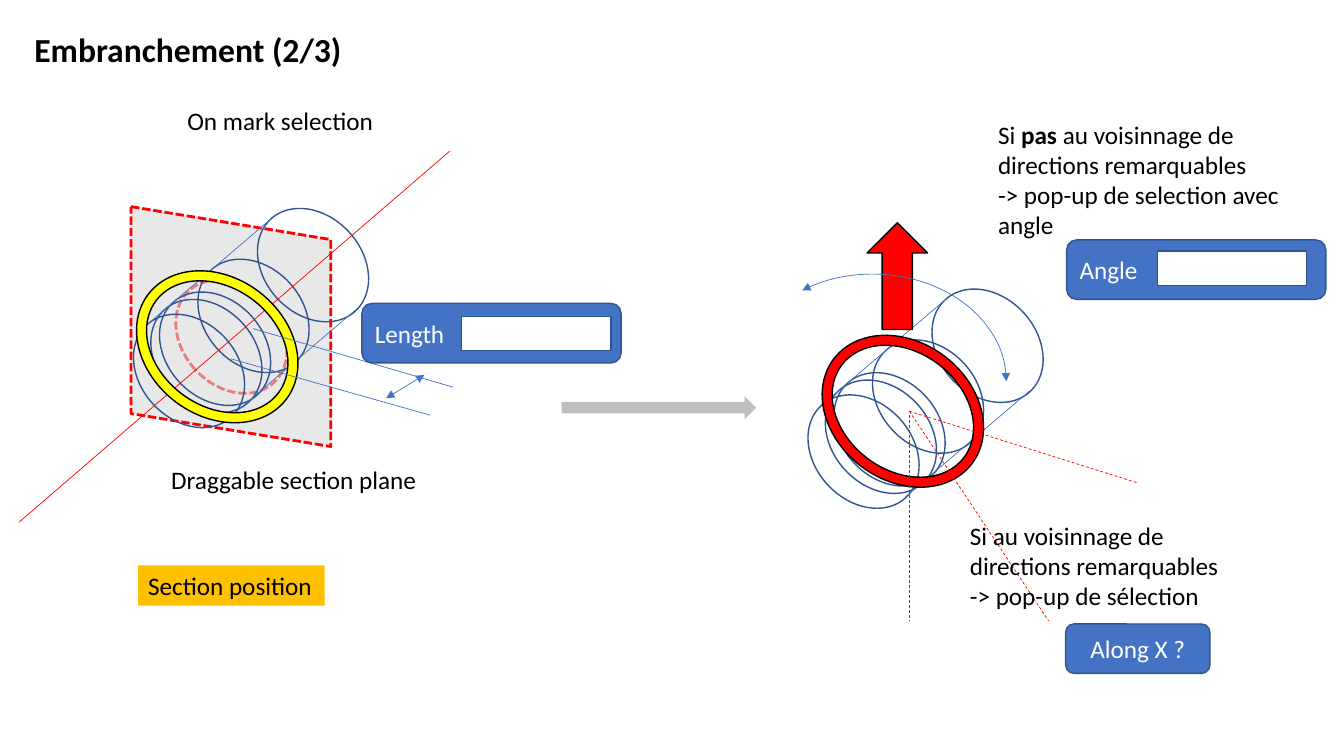
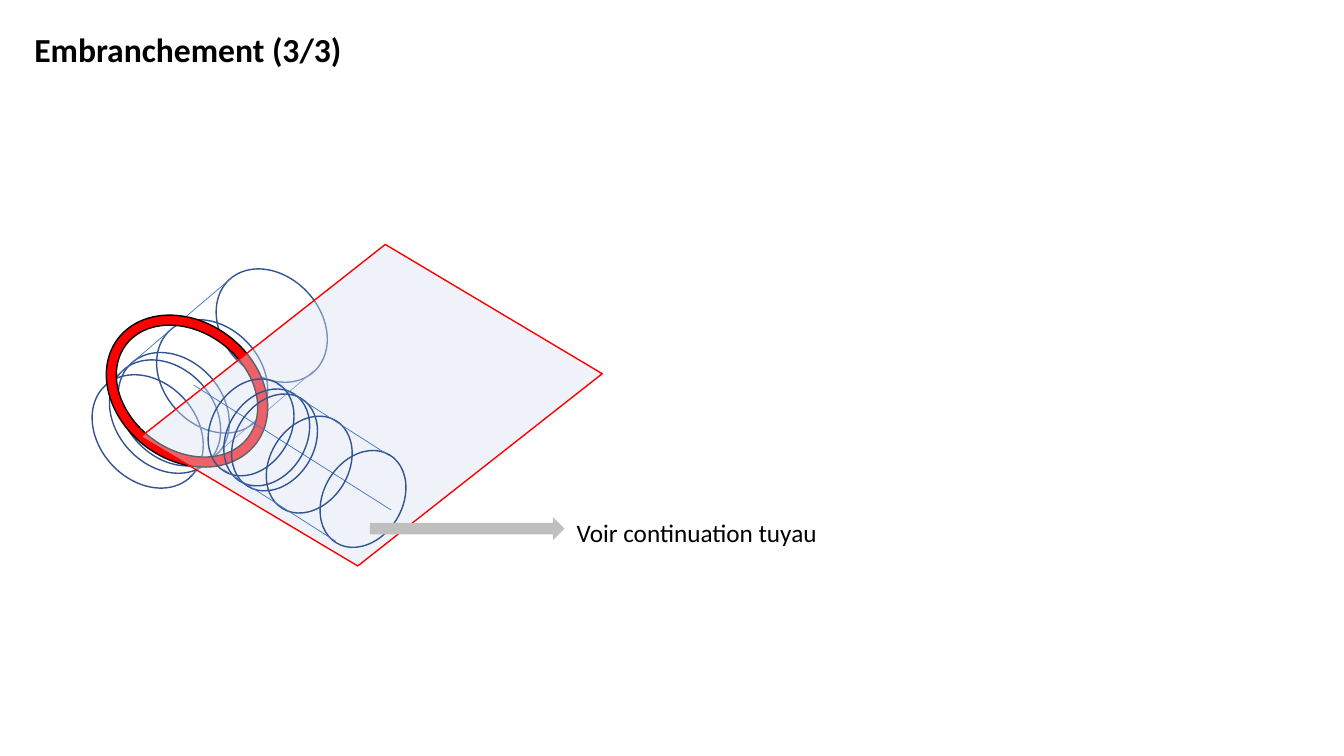
import lxml.etree
import pptx
import pptx.dml.color
import pptx.enum.dml
import pptx.enum.shapes
import pptx.enum.text
import pptx.oxml.ns
import pptx.util

Inches = pptx.util.Inches
RGB = pptx.dml.color.RGBColor
SHAPE = pptx.enum.shapes.MSO_SHAPE
DASH = pptx.enum.dml.MSO_LINE
ALIGN = pptx.enum.text.PP_ALIGN
ANCHOR = pptx.enum.text.MSO_ANCHOR
GROW = pptx.enum.text.MSO_AUTO_SIZE.SHAPE_TO_FIT_TEXT
qn = pptx.oxml.ns.qn

# Shared colours and styles
BLACK, WHITE = RGB(0, 0, 0), RGB(0xFF, 0xFF, 0xFF)
RED, YELLOW, AMBER = RGB(0xFF, 0, 0), RGB(0xFF, 0xFF, 0), RGB(0xFF, 0xC0, 0)
BLUE, NAVY, PALE = RGB(0x44, 0x72, 0xC4), RGB(0x32, 0x54, 0x91), RGB(0xDA, 0xE3, 0xF3)
GREY, SILVER = RGB(0xBF, 0xBF, 0xBF), RGB(0xD9, 0xD9, 0xD9)
FONT = {"name": "Calibri", "size": pptx.util.Pt(18), "bold": False}
TITLE_FONT = {**FONT, "size": pptx.util.Pt(24), "bold": True}
TITLE_BOX = (0.24, 0.24, 3.28, 0.5)
RING_TILT, RING_STEPS = 317.4, (0, 1, 0.14, 0.21, 0.52)

# Pipes: ring size, tilt, axis vector, offsets of the two outline starts
MAIN_PIPE = {"size": (0.97, 1.24), "tilt": RING_TILT, "axis": (1.23, -1.05),
             "edges": ((0.07, 0.16), (0.9, 1.07))}
BRANCH_PIPE = {"size": (0.78, 1.02), "tilt": 31.3, "axis": (1.11, 0.71),
               "edges": ((0.65, 0.08), (0.12, 0.93))}

# Slide content: box, paragraphs of (text, bold) runs, format
TITLES = ("Embranchement (2/3)", "Embranchement (3/3)")
SELECTION_TEXTS = [
    ((1.6, 4.56, 2.66, 0.4), [[("Draggable section plane", False)]], {}),
    ((1.37, 5.61, 1.85, 0.4), [[("Section position", False)]], {"fill": AMBER}),
    ((1.76, 1, 2.07, 0.4), [[("On mark selection", False)]], {}),
    ((9.52, 5.11, 3.15, 1.01),
     [[("Si au voisinnage de directions remarquables", False)],
      [("-> pop-up de sélection", False)]], {"wrap": True}),
    ((9.8, 1.13, 3.15, 1.31),
     [[("Si ", False), ("pas ", True), ("au voisinnage de directions remarquables", False)],
      [("-> pop-up de selection avec angle", False)]], {"wrap": True}),
]
# Pop-ups: box, label, alignment, corner of the input field
POPUPS = [
    ((3.59, 3.01, 2.57, 0.59), "Length", ALIGN.LEFT, (4.58, 3.14)),
    ((10.58, 2.38, 2.57, 0.59), "Angle", ALIGN.LEFT, (11.48, 2.49)),
    ((10.57, 6.19, 1.43, 0.49), "Along X ?", ALIGN.CENTER, None),
]
LENGTH_GUIDES = [((2.29, 3.56), (4.27, 4.12)), ((2.51, 3.26), (4.49, 3.84))]
DIRECTIONS = [((9.02, 4.08), (11.28, 4.79)), ((9.02, 4.12), (9.02, 6.16)),
              ((9.02, 4.08), (10.4, 6.16))]


def set_all(target, values):
    for name, value in values.items():
        setattr(target, name, value)


def style_line(line, color, width, dash=None):
    set_all(line, {"width": pptx.util.Pt(width), "dash_style": dash})
    line.color.rgb = color


def add_arrowheads(sp):
    ln = sp._element.spPr.find(qn("a:ln"))
    for end in ("a:headEnd", "a:tailEnd"):
        lxml.etree.SubElement(ln, qn(end)).set("type", "triangle")


def add_shape(shapes, kind, box, fill=None, line=None, width=1, dash=None,
              rot=0, adj=(), alpha=None):
    sp = shapes.add_shape(kind, *map(Inches, box))
    sp.shadow.inherit = False
    sp.rotation = rot
    for i, value in enumerate(adj):
        sp.adjustments[i] = value
    if fill is None:
        sp.fill.background()
    else:
        sp.fill.solid()
        sp.fill.fore_color.rgb = fill
    if alpha is not None:
        color = sp._element.spPr.find(qn("a:solidFill"))[0]
        lxml.etree.SubElement(color, qn("a:alpha")).set("val", str(alpha * 1000))
    if line is None:
        sp.line.fill.background()
    else:
        style_line(sp.line, line, width, dash)
    return sp


def add_line(shapes, start, end, color=BLUE, dash=None, arrows=False):
    straight = pptx.enum.shapes.MSO_CONNECTOR.STRAIGHT
    sp = shapes.add_connector(straight, *map(Inches, (*start, *end)))
    style_line(sp.line, color, 0.5, dash)
    if arrows:
        add_arrowheads(sp)
    lxml.etree.SubElement(sp._element.spPr, qn("a:effectLst"))


def write(tf, paragraphs, color=BLACK, align=ALIGN.LEFT, font=FONT):
    for i, runs in enumerate(paragraphs):
        p = tf.add_paragraph() if i else tf.paragraphs[0]
        p.alignment = align
        for text, bold in runs:
            r = p.add_run()
            r.text = text
            set_all(r.font, {**font, "bold": bold})
            r.font.color.rgb = color


def add_text(s, box, paragraphs, wrap=False, fill=None):
    sp = s.shapes.add_textbox(*map(Inches, box))
    if fill is not None:
        sp.fill.solid()
        sp.fill.fore_color.rgb = fill
    set_all(sp.text_frame, {"word_wrap": wrap, "auto_size": GROW})
    write(sp.text_frame, paragraphs)


def add_popup(s, box, label, align, field):
    sp = add_shape(s.shapes, SHAPE.ROUNDED_RECTANGLE, box, BLUE, NAVY)
    sp.text_frame.vertical_anchor = ANCHOR.MIDDLE
    write(sp.text_frame, [[(label, False)]], WHITE, align)
    if field:
        add_shape(s.shapes, SHAPE.RECTANGLE, (*field, 1.48, 0.34), WHITE, NAVY)


def add_pipe(s, x, y, pipe):
    shapes = s.shapes.add_group_shape().shapes
    dx, dy = pipe["axis"]
    for step in RING_STEPS:
        add_shape(shapes, SHAPE.OVAL, (x + step * dx, y + step * dy, *pipe["size"]),
                  line=NAVY, rot=pipe["tilt"])
    for ex, ey in pipe["edges"]:
        add_line(shapes, (x + ex, y + ey), (x + ex + dx, y + ey + dy))


def add_mark(s, x, y, color):
    add_shape(s.shapes, SHAPE.DONUT, (x, y, 1.37, 1.72), color, BLACK,
              rot=307.2, adj=[0.073])


def add_next_arrow(s, x, y):
    add_shape(s.shapes, SHAPE.RIGHT_ARROW, (x, y, 1.93, 0.23), GREY)


def add_slide(prs, title):
    s = prs.slides.add_slide(prs.slide_layouts[5])
    sp = s.shapes.title
    set_all(sp, dict(zip(("left", "top", "width", "height"), map(Inches, TITLE_BOX))))
    set_all(sp.text_frame, {"word_wrap": False, "auto_size": GROW,
                            "vertical_anchor": ANCHOR.TOP})
    write(sp.text_frame, [[(title, True)]], font=TITLE_FONT)
    return s


def build_selection(s):
    # Section plane on the main pipe
    add_shape(s.shapes, SHAPE.OVAL, (1.81, 2.72, 0.97, 1.24), line=RED, width=2,
              dash=DASH.SQUARE_DOT, rot=RING_TILT)
    add_shape(s.shapes, SHAPE.PARALLELOGRAM, (1.1, 2.25, 2.38, 1.98), SILVER, RED, 2,
              DASH.SQUARE_DOT, rot=90, adj=[0.165], alpha=58)
    add_pipe(s, 1.39, 3.06, MAIN_PIPE)
    add_line(s.shapes, (0.19, 5.18), (4.46, 1.5), RED)
    add_mark(s, 1.47, 2.58, YELLOW)
    for start, end in LENGTH_GUIDES:
        add_line(s.shapes, start, end)
    add_line(s.shapes, (3.83, 3.95), (4.21, 3.72), arrows=True)
    add_next_arrow(s, 5.57, 3.93)

    # Choice of the branch direction
    add_pipe(s, 8.08, 3.86, MAIN_PIPE)
    add_mark(s, 8.27, 3.22, RED)
    add_shape(s.shapes, SHAPE.UP_ARROW, (8.6, 2.21, 0.6, 1.06), RED, BLACK)
    arc = add_shape(s.shapes, SHAPE.ARC, (7.33, 2.72, 2.65, 2.13), line=BLUE,
                    width=0.5, adj=[139.388, 0])
    add_arrowheads(arc)
    for start, end in DIRECTIONS:
        add_line(s.shapes, start, end, RED, DASH.DASH)

    # Captions and pop-ups
    for box, paragraphs, style in SELECTION_TEXTS:
        add_text(s, box, paragraphs, **style)
    for popup in POPUPS:
        add_popup(s, *popup)


def build_branch(s):
    # Main pipe, branch plane and branch pipe
    add_pipe(s, 0.98, 3.66, MAIN_PIPE)
    add_mark(s, 1.17, 3.02, RED)
    add_shape(s.shapes, SHAPE.PARALLELOGRAM, (1.88, 2.58, 3.61, 2.88), PALE, RED,
              rot=30.8, adj=[0.384], alpha=43)
    add_line(s.shapes, (1.92, 3.82), (3.88, 5.06))
    add_pipe(s, 2.1, 3.73, BRANCH_PIPE)

    # Next step
    add_next_arrow(s, 3.67, 5.13)
    add_text(s, (5.62, 5.08, 2.62, 0.4), [[("Voir continuation tuyau", False)]])


def main():
    prs = pptx.Presentation()
    set_all(prs, {"slide_width": Inches(13.33), "slide_height": Inches(7.5)})
    for title, build in zip(TITLES, (build_selection, build_branch)):
        build(add_slide(prs, title))
    prs.save("out.pptx")


if __name__ == "__main__":
    main()
